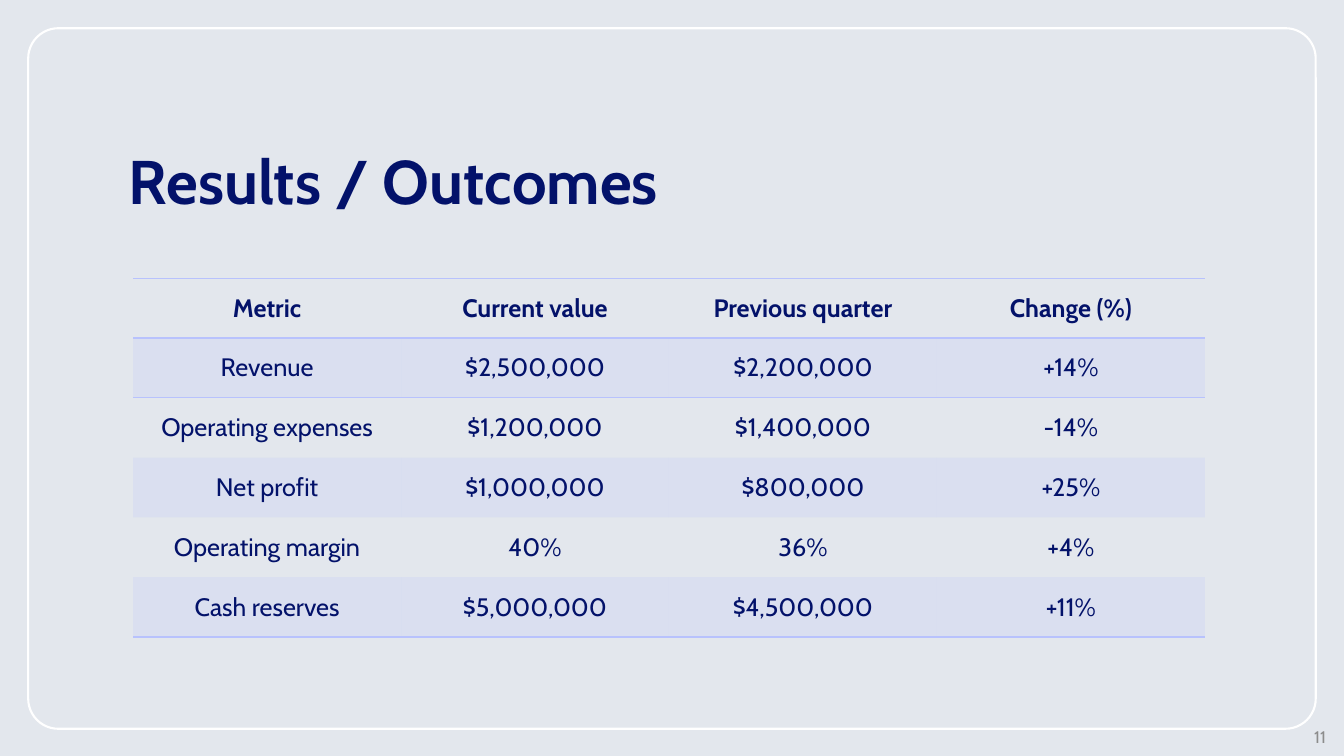
from lxml.etree import SubElement
from pptx import Presentation
from pptx.dml.color import RGBColor
from pptx.enum.shapes import MSO_SHAPE
from pptx.enum.text import MSO_ANCHOR, PP_ALIGN
from pptx.oxml import parse_xml
from pptx.oxml.ns import nsdecls, qn
from pptx.util import Inches, Pt

NAVY = "03126A"
LAVENDER = "B8C2FD"
NO_STYLE_NO_GRID = "{2D5ABB26-0587-4C30-8999-92F81FD0307C}"


def color(hex_string):
    return RGBColor.from_string(hex_string)


def add_run(paragraph, text, size, hex_string, bold=False):
    run = paragraph.add_run()
    run.text = text
    run.font.name = "Cabin"
    run.font.size = Pt(size)
    run.font.bold = bold
    run.font.color.rgb = color(hex_string)


presentation = Presentation()
presentation.slide_width = Inches(13.33)
presentation.slide_height = Inches(7.5)
slide = presentation.slides.add_slide(presentation.slide_layouts[6])
slide.background.fill.solid()
slide.background.fill.fore_color.rgb = color("E3E7ED")

# Rounded frame
frame = slide.shapes.add_shape(
    MSO_SHAPE.ROUNDED_RECTANGLE, Inches(0.28), Inches(0.28), Inches(12.77), Inches(6.95))
frame.adjustments[0] = 0.043
frame.shadow.inherit = False
frame.fill.background()
frame.line.color.rgb = color("FFFFFF")
frame.line.width = Pt(1.5)

# Title and slide number
text_boxes = [
    ("Results / Outcomes", (1.18, 0.4, 11.24, 1.81), MSO_ANCHOR.BOTTOM, PP_ALIGN.LEFT,
     0.9, 44, NAVY, True),
    ("11", (10.25, 7.18, 3, 0.25), MSO_ANCHOR.MIDDLE, PP_ALIGN.RIGHT,
     1.0, 12, "8C8C8C", False),
]
for text, place, anchor, alignment, spacing, size, text_color, bold in text_boxes:
    text_box = slide.shapes.add_textbox(*map(Inches, place))
    text_frame = text_box.text_frame
    text_frame.word_wrap = True
    text_frame.vertical_anchor = anchor
    paragraph = text_frame.paragraphs[0]
    paragraph.alignment = alignment
    paragraph.line_spacing = spacing
    add_run(paragraph, text, size, text_color, bold)

# Results table
results = [
    ("Metric", "Current value", "Previous quarter", "Change (%)"),
    ("Revenue", "$2,500,000", "$2,200,000", "+14%"),
    ("Operating expenses", "$1,200,000", "$1,400,000", "-14%"),
    ("Net profit", "$1,000,000", "$800,000", "+25%"),
    ("Operating margin", "40%", "36%", "+4%"),
    ("Cash reserves", "$5,000,000", "$4,500,000", "+11%"),
]
last_row = len(results) - 1
row_borders = {0: ("lnT", "lnB"), 1: ("lnT",), last_row: ("lnB",)}

table_frame = slide.shapes.add_table(
    len(results), len(results[0]), Inches(1.32), Inches(2.76), Inches(10.63), Inches(3.56))
table = table_frame.table
table.horz_banding = False
table_properties = table_frame.element.find(".//" + qn("a:tblPr"))
table_properties.find(qn("a:tableStyleId")).text = NO_STYLE_NO_GRID

for row_index, row in enumerate(results):
    for column_index, text in enumerate(row):
        cell = table.cell(row_index, column_index)
        cell.vertical_anchor = MSO_ANCHOR.MIDDLE
        paragraph = cell.text_frame.paragraphs[0]
        paragraph.alignment = PP_ALIGN.CENTER
        add_run(paragraph, text, 18, NAVY, bold=row_index == 0)

        cell_properties = cell._tc.get_or_add_tcPr()
        if row_index % 2:
            cell.fill.solid()
            cell.fill.fore_color.rgb = color(LAVENDER)
            fill_color = cell_properties.find(".//" + qn("a:srgbClr"))
            SubElement(fill_color, qn("a:alpha"), val="20000")
        else:
            cell.fill.background()
        for position, side in enumerate(row_borders.get(row_index, ())):
            cell_properties.insert(position, parse_xml(
                f'<a:{side} {nsdecls("a")} w="{Pt(1)}"><a:solidFill>'
                f'<a:srgbClr val="{LAVENDER}"/></a:solidFill></a:{side}>'))

presentation.save("out.pptx")
